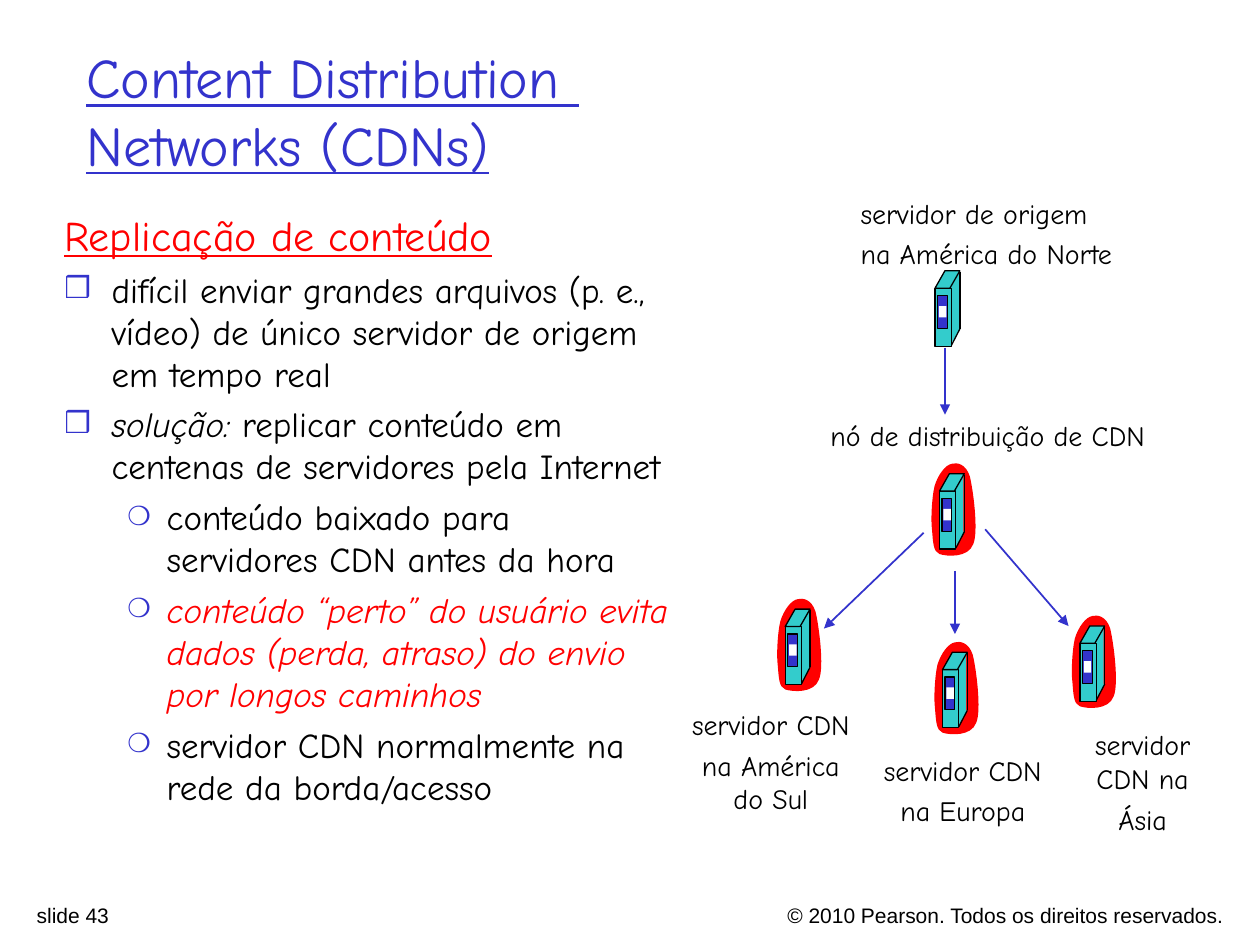
from lxml.etree import SubElement
from pptx import Presentation
from pptx.dml.color import RGBColor
from pptx.enum.shapes import MSO_CONNECTOR, MSO_SHAPE
from pptx.enum.text import MSO_ANCHOR, PP_ALIGN
from pptx.oxml.ns import qn
from pptx.util import Cm, Pt

BLUE = RGBColor(0x33, 0x33, 0xCC)
RED = RGBColor(0xFF, 0x00, 0x00)
TEAL = RGBColor(0x33, 0xCC, 0xCC)
BLACK = RGBColor(0x00, 0x00, 0x00)
WHITE = RGBColor(0xFF, 0xFF, 0xFF)
HAND_FONT, FOOTER_FONT = "Comic Neue", "Arial"

# All lengths are in centimetres.
TITLE = "Content Distribution \vNetworks (CDNs)"
HEADING = "Replicação de conteúdo"
BULLETS = [  # level, [(text, italic, colour)]
    (0, [("difícil enviar grandes arquivos (p. e., vídeo) de único servidor "
          "de origem em tempo real", False, BLACK)]),
    (0, [("solução:", True, BLACK),
         (" replicar conteúdo em centenas de servidores pela Internet", False, BLACK)]),
    (1, [("conteúdo baixado para servidores CDN antes da hora", False, BLACK)]),
    (1, [("conteúdo “perto” do usuário evita dados (perda, atraso) do envio "
          "por longos caminhos", True, RED)]),
    (1, [("servidor CDN normalmente na rede da borda/acesso", False, BLACK)]),
]
BULLET_STYLES = [("❒", 85, 0.95, 0.95), ("❍", 75, 2.06, 0.79)]  # mark, %, margin, hang

FOOTERS = [
    ("© 2010 Pearson. Todos os direitos reservados.", (11.94, 18.06, 12.98, 0.61), PP_ALIGN.RIGHT),
    ("slide 43", (0.49, 18.06, 8.94, 0.58), PP_ALIGN.LEFT),
]
LABELS = [
    ("servidor de origem\nna América do Norte", (17.1, 3.83, 5.8, 1.75), PP_ALIGN.LEFT),
    ("nó de distribuição de CDN", (16.49, 8.31, 7.1, 0.94), PP_ALIGN.LEFT),
    ("servidor CDN\nna América\vdo Sul", (13.6, 14.14, 3.88, 2.44), PP_ALIGN.CENTER),
    ("servidor CDN\nna Europa", (17.47, 15.06, 3.88, 1.75), PP_ALIGN.CENTER),
    ("servidor\vCDN na\nÁsia", (21.73, 14.55, 2.61, 2.44), PP_ALIGN.CENTER),
]
SERVERS = [  # left, top, has red halo
    (18.85, 5.46, False),
    (15.83, 12.28, True),
    (19.00, 13.15, True),
    (21.77, 12.62, True),
    (18.94, 9.55, True),
]
ARROWS = [
    (19.05, 7.01, 19.05, 8.36),
    (18.62, 10.74, 16.61, 12.67),
    (19.25, 11.51, 19.25, 12.78),
    (19.86, 10.67, 21.54, 12.62),
]

# Server parts, measured from the server's top left corner
BOX, SLANT = MSO_SHAPE.RECTANGLE, MSO_SHAPE.PARALLELOGRAM
BODY_PARTS = [  # kind, place, fill, outlined
    (SLANT, (0, 1.17, 0.5, 0.35), TEAL, False),
    (BOX, (0.25, 0.02, 0.23, 1.17), TEAL, False),
    (BOX, (0, 0.35, 0.33, 1.17), TEAL, True),
    (SLANT, (0, 0, 0.5, 0.35), TEAL, True),
]
EDGES = [(0.5, 0.02, 0.5, 1.17), (0.5, 1.17, 0.33, 1.5)]
PANEL_PARTS = [
    (BOX, (0.05, 0.5, 0.2, 0.66), BLUE, True),
    (BOX, (0.08, 0.71, 0.15, 0.23), WHITE, False),
]
HALO_OFFSET = (-0.18, -0.23)
HALO_POINTS = [  # start, then two control points and an end point per curve
    (0.08, 0.48),
    (0.15, 0.25), (0.30, 0.05), (0.43, 0.03),
    (0.53, 0.00), (0.71, 0.03), (0.79, 0.28),
    (0.86, 0.56), (0.97, 1.40), (0.86, 1.65),
    (0.76, 1.93), (0.33, 1.90), (0.18, 1.85),
    (0.05, 1.80), (0.05, 1.60), (0.03, 1.37),
    (0.00, 1.14), (0.03, 0.69), (0.08, 0.48),
]


def style(span, size, colour, name=HAND_FONT, italic=False, underline=False):
    font = span.font
    font.size, font.name, font.color.rgb = Pt(size), name, colour
    font.italic, font.underline = italic, underline


def add_text(page, place, text, size, colour, name=HAND_FONT, align=PP_ALIGN.LEFT,
             underline=False, gap=0):
    frame = page.shapes.add_textbox(*map(Cm, place)).text_frame
    frame.word_wrap = True
    frame.text = text
    for index, para in enumerate(frame.paragraphs):
        para.alignment = align
        if index:
            para.space_before = Pt(gap)
        for span in para.runs:
            style(span, size, colour, name, underline=underline)
    return frame


def set_bullet(para, mark, percent, margin, hang):
    props = para._p.get_or_add_pPr()
    props.set("marL", str(Cm(margin)))
    props.set("indent", str(-Cm(hang)))
    colour = SubElement(props, qn("a:buClr"))
    SubElement(colour, qn("a:srgbClr"), val=str(BLUE))
    SubElement(props, qn("a:buSzPct"), val=str(percent * 1000))
    SubElement(props, qn("a:buFont"), typeface=HAND_FONT)
    SubElement(props, qn("a:buChar"), char=mark)


def add_bullets(frame):
    for level, spans in BULLETS:
        para = frame.add_paragraph()
        set_bullet(para, *BULLET_STYLES[level])
        para.level = level
        para.space_before = Pt(5)
        for text, italic, colour in spans:
            span = para.add_run()
            span.text = text
            style(span, 20, colour, italic=italic)


def add_line(shapes, ends, colour, width):
    line = shapes.add_connector(MSO_CONNECTOR.STRAIGHT, *map(Cm, ends))
    line.line.color.rgb, line.line.width = colour, Pt(width)
    SubElement(line._element.spPr, qn("a:effectLst"))
    return line


def paint(shape, fill, outlined=False):
    shape.shadow.inherit = False
    shape.fill.solid()
    shape.fill.fore_color.rgb = fill
    if outlined:
        shape.line.color.rgb, shape.line.width = BLACK, Pt(0.75)
    else:
        shape.line.fill.background()


def add_halo(shapes, left, top):
    points = [(Cm(left + x), Cm(top + y)) for x, y in HALO_POINTS]
    builder = shapes.build_freeform(*points[0])
    builder.add_line_segments(points[1:], close=True)
    halo = builder.convert_to_shape()
    segments = list(halo._element.iter(qn("a:lnTo")))
    for first in range(0, len(segments), 3):
        trio = segments[first:first + 3]
        curve = trio[0].makeelement(qn("a:cubicBezTo"))
        trio[0].addprevious(curve)
        for segment in trio:
            curve.append(segment[0])
            segment.getparent().remove(segment)
    paint(halo, RED)


def add_server(page, left, top, has_halo):
    shapes = page.shapes.add_group_shape().shapes

    def add_parts(parts):
        for kind, (x, y, width, height), fill, outlined in parts:
            part = shapes.add_shape(kind, Cm(left + x), Cm(top + y), Cm(width), Cm(height))
            if kind == SLANT:
                part.adjustments[0] = 0.57
            paint(part, fill, outlined)

    if has_halo:
        add_halo(shapes, left + HALO_OFFSET[0], top + HALO_OFFSET[1])
    add_parts(BODY_PARTS)
    for x1, y1, x2, y2 in EDGES:
        add_line(shapes, (left + x1, top + y1, left + x2, top + y2), BLACK, 0.75)
    add_parts(PANEL_PARTS)


def main():
    deck = Presentation()
    deck.slide_width, deck.slide_height = Cm(25.4), Cm(19.05)
    page = deck.slides.add_slide(deck.slide_layouts[6])

    for text, place, align in FOOTERS:
        add_text(page, place, text, 12, BLACK, FOOTER_FONT, align)
    title = add_text(page, (1.49, 0.63, 22.3, 3.18), TITLE, 32, BLUE, underline=True)
    title.vertical_anchor = MSO_ANCHOR.MIDDLE
    body = add_text(page, (1.05, 4.09, 12.73, 13.64), HEADING, 24, RED, underline=True)
    add_bullets(body)

    for server in SERVERS:
        add_server(page, *server)
    for ends in ARROWS:
        arrow = add_line(page.shapes, ends, BLUE, 1)
        SubElement(arrow.line._get_or_add_ln(), qn("a:tailEnd"), type="triangle")
    for text, place, align in LABELS:
        add_text(page, place, text, 16, BLACK, align=align, gap=4)

    deck.save("out.pptx")


if __name__ == "__main__":
    main()
